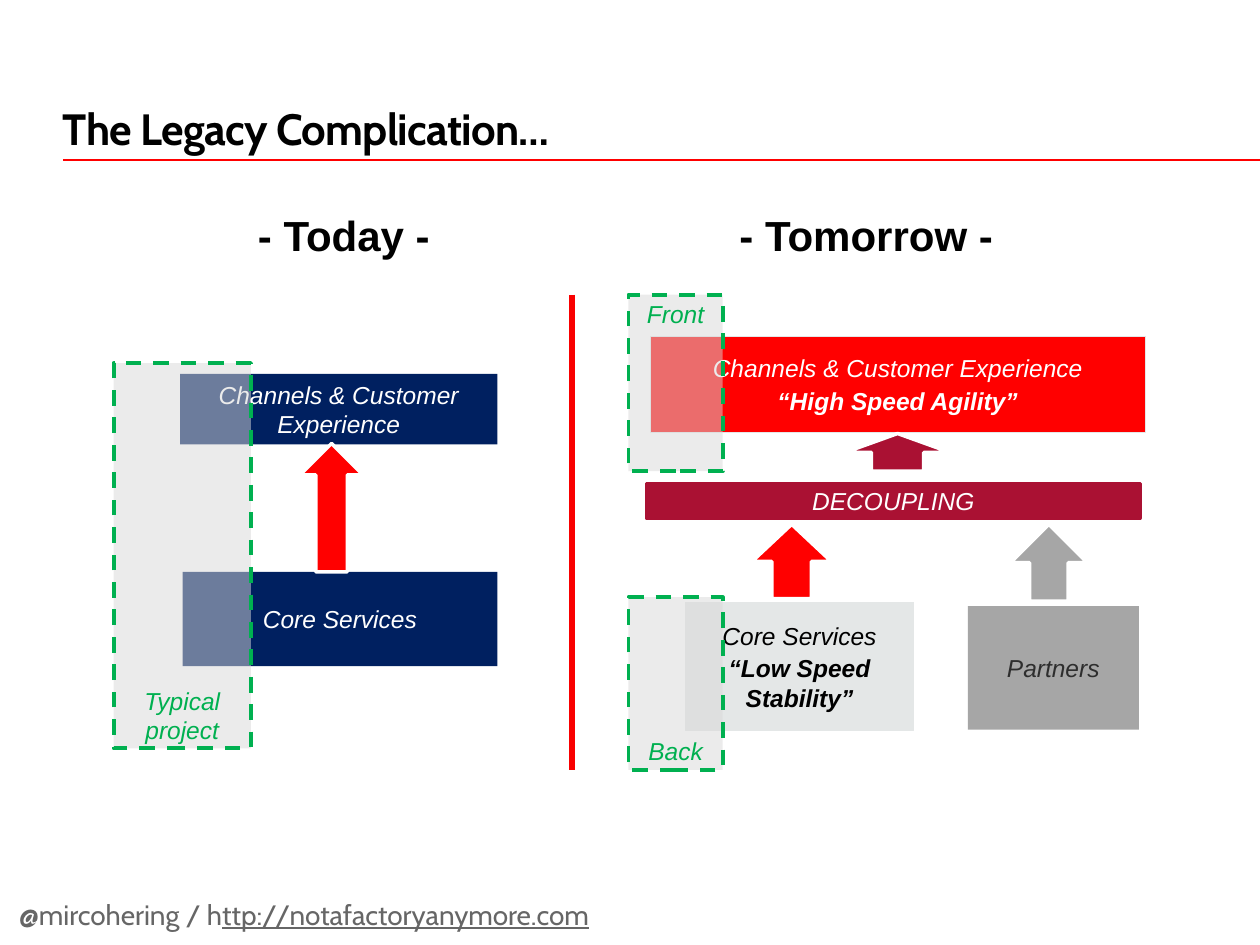
from pptx import Presentation
from pptx.dml.color import RGBColor
from pptx.enum.dml import MSO_LINE
from pptx.enum.shapes import MSO_CONNECTOR, MSO_SHAPE
from pptx.enum.text import MSO_ANCHOR, PP_ALIGN
from pptx.oxml.ns import qn
from pptx.util import Cm, Pt
from lxml import etree

RECT, UP_ARROW = MSO_SHAPE.RECTANGLE, MSO_SHAPE.UP_ARROW
STRAIGHT, DASH = MSO_CONNECTOR.STRAIGHT, MSO_LINE.DASH
TOP, MIDDLE, BOTTOM = MSO_ANCHOR.TOP, MSO_ANCHOR.MIDDLE, MSO_ANCHOR.BOTTOM
LEFT, CENTER = PP_ALIGN.LEFT, PP_ALIGN.CENTER

BLACK = RGBColor(0x00, 0x00, 0x00)
WHITE = RGBColor(0xFF, 0xFF, 0xFF)
RED = RGBColor(0xFF, 0x00, 0x00)
DIVIDER_RED = RGBColor(0xF9, 0x00, 0x00)
CRIMSON = RGBColor(0xAA, 0x11, 0x33)
NAVY = RGBColor(0x00, 0x20, 0x60)
GREEN = RGBColor(0x00, 0xB0, 0x50)
PALE_GRAY = RGBColor(0xE4, 0xE7, 0xE7)
LIGHT_GRAY = RGBColor(0xD9, 0xD9, 0xD9)
MID_GRAY = RGBColor(0xA6, 0xA6, 0xA6)
DARK_GRAY = RGBColor(0x2E, 0x2E, 0x2E)
FOOTER_GRAY = RGBColor(0x66, 0x66, 0x66)


def add_block(shape_type, box, fill, line=None, width=0):
    s = slide.shapes.add_shape(shape_type, *map(Cm, box))
    s.shadow.inherit = False
    s.fill.solid()
    s.fill.fore_color.rgb = fill
    if line is None:
        s.line.fill.background()
    else:
        s.line.color.rgb = line
        s.line.width = Pt(width)
    return s


def write(s, lines, color, size=14, name="Arial", align=CENTER, anchor=MIDDLE,
          insets=(0.15, 0.08, 0.15, 0.08), bold=False, italic=False, after=0):
    """Fill a shape with paragraphs; every paragraph below the first is bold."""
    tf = s.text_frame
    tf.word_wrap = True
    tf.vertical_anchor = anchor
    tf.margin_left, tf.margin_top, tf.margin_right, tf.margin_bottom = map(Cm, insets)
    for i, line in enumerate(lines):
        p = tf.paragraphs[0] if i == 0 else tf.add_paragraph()
        p.alignment = align
        p.space_after = Pt(after)
        p.font.size = Pt(size)
        p.font.name = name
        p.font.color.rgb = color
        p.font.bold = bold or i > 0
        p.font.italic = italic
        p.add_run().text = line
    return tf.paragraphs[0]


prs = Presentation()
prs.slide_width, prs.slide_height = Cm(25.4), Cm(19.05)
slide = prs.slides.add_slide(prs.slide_layouts[6])

# Service blocks: box, fill, outline, outline width, lines, text colour, space after
blocks = [
    ((13.11, 6.78, 9.98, 1.93), RED, PALE_GRAY, 0.5,
     ["Channels & Customer Experience", "“High Speed Agility”"], WHITE, 1.7),
    ((13.03, 9.75, 9.96, 0.69), CRIMSON, CRIMSON, 2, ["DECOUPLING"], WHITE, 0),
    ((13.82, 12.14, 4.6, 2.59), PALE_GRAY, PALE_GRAY, 0.5,
     ["Core Services", "“Low Speed Stability”"], BLACK, 1.7),
    ((19.51, 12.22, 3.45, 2.49), MID_GRAY, None, 0, ["Partners"], DARK_GRAY, 0),
    ((3.63, 7.54, 6.4, 1.42), NAVY, None, 0,
     ["Channels & Customer Experience"], WHITE, 0),
    ((3.68, 11.53, 6.35, 1.9), NAVY, None, 0, ["Core Services"], WHITE, 0),
]
for box, fill, line, width, lines, color, after in blocks:
    s = add_block(RECT, box, fill, line, width)
    insets = (0.1,) * 4 if after else (0.15, 0.08, 0.15, 0.08)
    write(s, lines, color, insets=insets, italic=True, after=after)

arrows = [
    ((17.04, 8.74, 2.11, 0.76), CRIMSON),
    ((15.16, 10.57, 1.6, 1.5), RED),
    ((20.37, 10.57, 1.55, 1.55), MID_GRAY),
    ((6.05, 8.94, 1.27, 2.59), RED),
]
for box, fill in arrows:
    add_block(UP_ARROW, box, fill, WHITE, 2)

# Translucent project scopes lie over the blocks
scopes = [
    ((2.29, 7.32, 2.77, 7.77), "Typical project", BOTTOM),
    ((12.67, 5.94, 1.9, 3.56), "Front", TOP),
    ((12.67, 12.04, 1.9, 3.48), "Back", BOTTOM),
]
for box, label, anchor in scopes:
    s = add_block(RECT, box, LIGHT_GRAY, GREEN, 2.25)
    s.line.dash_style = DASH
    fill_color = s._element.spPr.find(qn("a:solidFill")).find(qn("a:srgbClr"))
    etree.SubElement(fill_color, qn("a:alpha")).set("val", "50000")
    write(s, [label], GREEN, anchor=anchor, italic=True)

# Title rule and the divider between the two halves
rules = [
    ((1.27, 3.23, 25.4, 3.23), RED, 1),
    ((11.53, 5.94, 11.53, 15.52), DIVIDER_RED, 3),
]
for ends, color, width in rules:
    c = slide.shapes.add_connector(STRAIGHT, *map(Cm, ends))
    c.line.color.rgb = color
    c.line.width = Pt(width)
    etree.SubElement(c._element.spPr, qn("a:effectLst"))

for heading, left, width in [("- Today - ", 3.2, 7.7), ("- Tomorrow - ", 12.45, 10.26)]:
    s = slide.shapes.add_textbox(Cm(left), Cm(4.14), Cm(width), Cm(1.17))
    write(s, [heading], BLACK, size=24, anchor=TOP, bold=True)

title = slide.shapes.add_textbox(Cm(1.27), Cm(0.33), Cm(22.86), Cm(2.79))
p = write(title, ["The Legacy Complication…"], BLACK, size=25, name="Cabin",
          align=LEFT, anchor=BOTTOM, insets=(0, 0.13, 0, 0), bold=True)
p.runs[0].font._element.set("spc", "-40")

footer = slide.shapes.add_textbox(Cm(0.38), Cm(17.96), Cm(23.39), Cm(1.09))
p = write(footer, ["@mircohering / h"], FOOTER_GRAY, size=16, name="Cabin",
          align=LEFT, anchor=TOP, insets=(0, 0.13, 0, 0))
p.space_before = Pt(6)
r = p.add_run()
r.text = "ttp://notafactoryanymore.com"
r.font.underline = True

prs.save("out.pptx")
